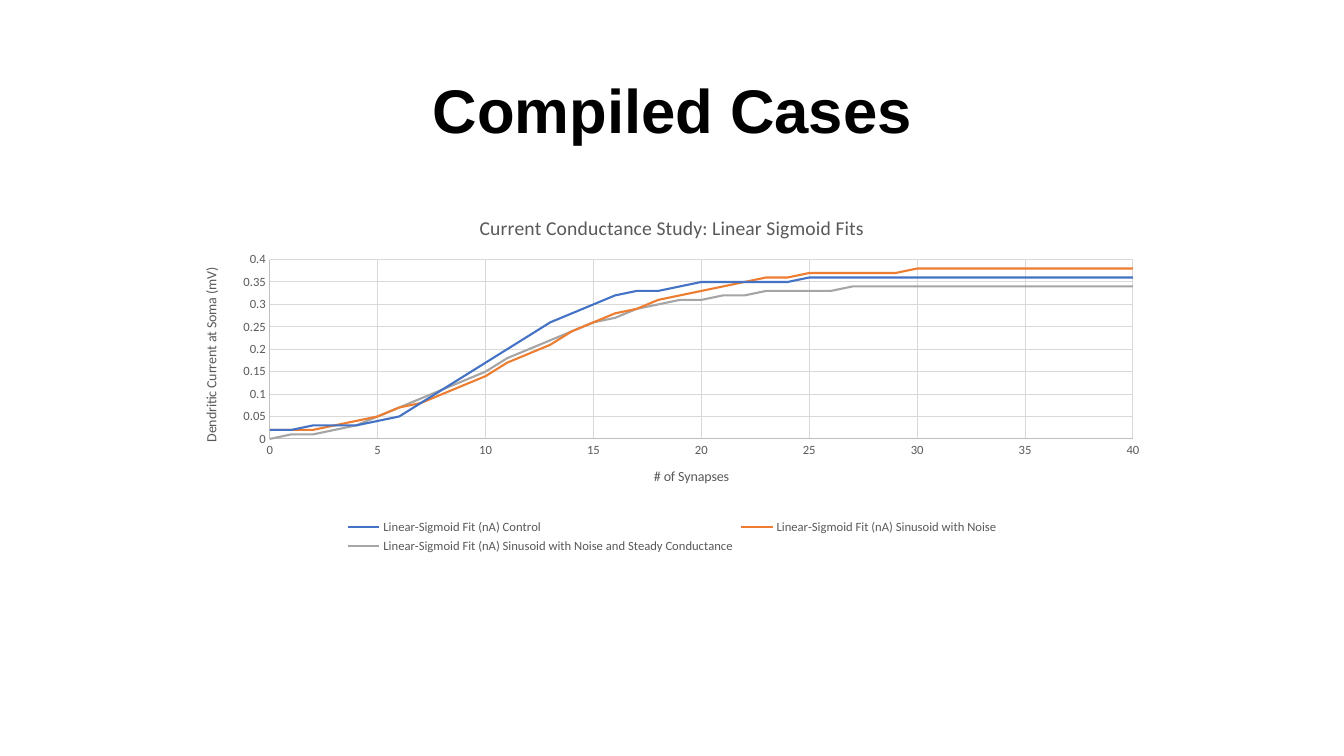
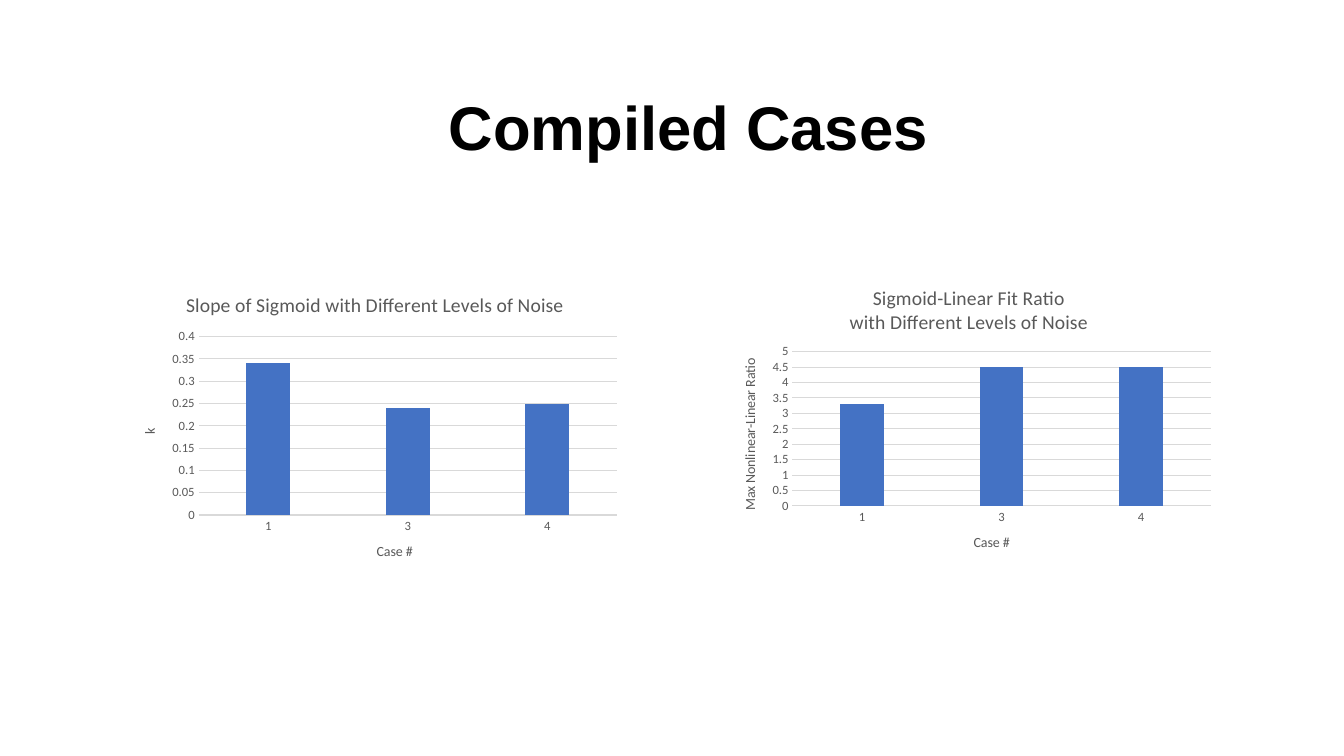
from lxml import etree
from pptx import Presentation
from pptx.chart.data import CategoryChartData, XyChartData
from pptx.dml.color import RGBColor
from pptx.enum.chart import XL_CHART_TYPE, XL_LEGEND_POSITION, XL_TICK_MARK
from pptx.enum.text import MSO_ANCHOR, PP_ALIGN
from pptx.oxml.ns import qn
from pptx.util import Inches, Pt

SCATTER = XL_CHART_TYPE.XY_SCATTER_SMOOTH_NO_MARKERS
COLUMN = XL_CHART_TYPE.COLUMN_CLUSTERED
BOTTOM = XL_LEGEND_POSITION.BOTTOM
NO_TICK = XL_TICK_MARK.NONE
MIDDLE = MSO_ANCHOR.MIDDLE
CENTER = PP_ALIGN.CENTER

COLORS = {
    "title": "000000",
    "text": "595959",
    "grid": "D9D9D9",
    "axis": "BFBFBF",
    "blue": "4472C4",
    "orange": "ED7D31",
    "gray": "A5A5A5",
}

FITS = [
    ("Control", "blue", [
        0.02, 0.02, 0.03, 0.03, 0.03, 0.04, 0.05, 0.08, 0.11, 0.14,
        0.17, 0.2, 0.23, 0.26, 0.28, 0.3, 0.32, 0.33, 0.33, 0.34,
        0.35, 0.35, 0.35, 0.35, 0.35] + [0.36] * 16),
    ("Sinusoid with Noise", "orange", [
        0.02, 0.02, 0.02, 0.03, 0.04, 0.05, 0.07, 0.08, 0.1, 0.12,
        0.14, 0.17, 0.19, 0.21, 0.24, 0.26, 0.28, 0.29, 0.31, 0.32,
        0.33, 0.34, 0.35, 0.36, 0.36] + [0.37] * 5 + [0.38] * 11),
    ("Sinusoid with Noise and Steady Conductance", "gray", [
        0, 0.01, 0.01, 0.02, 0.03, 0.05, 0.07, 0.09, 0.11, 0.13,
        0.15, 0.18, 0.2, 0.22, 0.24, 0.26, 0.27, 0.29, 0.3, 0.31,
        0.31, 0.32, 0.32] + [0.33] * 4 + [0.34] * 14),
]

BARS = [
    ("Slope of Sigmoid with Different Levels of Noise", "k",
     [0.34, 0.24, 0.25], 0.4, 0.05,
     (1.22, 2.74, 5, 3), (0.15, 0.2, 0.83, 0.59)),
    ("Sigmoid-Linear Fit Ratio\nwith Different Levels of Noise",
     "Max Nonlinear-Linear Ratio",
     [3.3, 4.5, 4.5], 5, 0.5,
     (7.11, 2.68, 5, 3), (0.15, 0.27, 0.83, 0.51)),
]


def color(name):
    """Return the named colour."""
    return RGBColor.from_string(COLORS[name])


def style(font, size, face="Calibri", tone="text", bold=False):
    """Set size, face, colour and weight of a font."""
    font.size, font.name, font.bold = Pt(size), face, bold
    font.color.rgb = color(tone)


def stroke(line, tone, width=0.75):
    """Give a line its colour and width."""
    line.color.rgb = color(tone)
    line.width = Pt(width)


def label(owner, text, size):
    """Title a chart or an axis."""
    frame = (owner.chart_title if hasattr(owner, "chart_title")
             else owner.axis_title).text_frame
    frame.text = text
    for para in frame.paragraphs:
        style(para.font, size)


def scale(axis, text, tone=None, top=None, step=None, grid=True):
    """Format an axis with its title, line, range and grid."""
    label(axis, text, 10)
    style(axis.tick_labels.font, 9)
    axis.tick_labels.number_format = "General"
    axis.tick_labels.number_format_is_linked = False
    axis.major_tick_mark = axis.minor_tick_mark = NO_TICK
    if tone:
        stroke(axis.format.line, tone)
    else:
        axis.format.line.fill.background()
    if top:
        axis.minimum_scale, axis.maximum_scale, axis.major_unit = 0, top, step
    axis.has_major_gridlines = grid
    if grid:
        stroke(axis.major_gridlines.format.line, "grid")


def layout(chart, plot):
    """Fix the inner plot area as fractions of the chart."""
    area = chart._chartSpace.find(".//" + qn("c:plotArea"))
    for old in area.findall(qn("c:layout")):
        area.remove(old)
    node = etree.Element(qn("c:layout"))
    area.insert(0, node)
    manual = etree.SubElement(node, qn("c:manualLayout"))
    pairs = [("layoutTarget", "inner"), ("xMode", "edge"), ("yMode", "edge")]
    for tag, val in pairs + list(zip("xywh", plot)):
        etree.SubElement(manual, qn("c:" + tag)).set("val", str(val))


def draw(slide, kind, data, box, title, plot):
    """Add a titled chart in its box."""
    chart = slide.shapes.add_chart(kind, *map(Inches, box), data).chart
    style(chart.font, 10, tone="title")
    chart.has_title = True
    label(chart, title, 14)
    chart.has_legend = False
    layout(chart, plot)
    return chart


def curves(slide, box):
    """Draw the three fitted curves."""
    data = XyChartData()
    for name, _, vals in FITS:
        row = data.add_series("Linear-Sigmoid Fit (nA) " + name)
        for num, val in enumerate(vals):
            row.add_data_point(num, val)
    chart = draw(slide, SCATTER, data, box,
                 "Current Conductance Study: Linear Sigmoid Fits",
                 (0.09, 0.17, 0.88, 0.5))
    scale(chart.category_axis, "# of Synapses", "axis", 40, 5)
    scale(chart.value_axis, "Dendritic Current at Soma (mV)",
          "axis", 0.4, 0.05)
    for row, (_, tone, _) in zip(chart.plots[0].series, FITS):
        row.smooth = True
        stroke(row.format.line, tone, 1.5)
    chart.has_legend = True
    chart.legend.position = BOTTOM
    chart.legend.include_in_layout = False
    style(chart.legend.font, 9)


def columns(slide, title, unit, vals, top, step, box, plot):
    """Draw one column chart of the cases."""
    data = CategoryChartData()
    data.categories = ["1", "3", "4"]
    data.add_series("Series 1", vals)
    chart = draw(slide, COLUMN, data, box, title, plot)
    scale(chart.category_axis, "Case #", "grid", grid=False)
    scale(chart.value_axis, unit, top=top, step=step)
    bars = chart.plots[0]
    bars.gap_width, bars.overlap = 219, -27
    bars.vary_by_categories = False
    fill = bars.series[0].format.fill
    fill.solid()
    fill.fore_color.rgb = color("blue")


def page(deck, left, top):
    """Add a slide with its heading."""
    slide = deck.slides.add_slide(deck.slide_layouts[5])
    head = slide.shapes.title
    head.left, head.top = Inches(left), Inches(top)
    head.width, head.height = Inches(11.5), Inches(1.45)
    frame = head.text_frame
    frame.text = "Compiled Cases"
    frame.vertical_anchor = MIDDLE
    para = frame.paragraphs[0]
    para.alignment, para.line_spacing = CENTER, 0.9
    style(para.font, 44, "Arial", "title", True)
    return slide


def main():
    """Build and save the deck."""
    deck = Presentation()
    deck.slide_width, deck.slide_height = Inches(13.33), Inches(7.5)
    curves(page(deck, 0.92, 0.4), (1.8, 1.97, 9.73, 3.56))
    slide = page(deck, 1.08, 0.57)
    for bar in BARS:
        columns(slide, *bar)
    deck.save("out.pptx")


if __name__ == "__main__":
    main()
